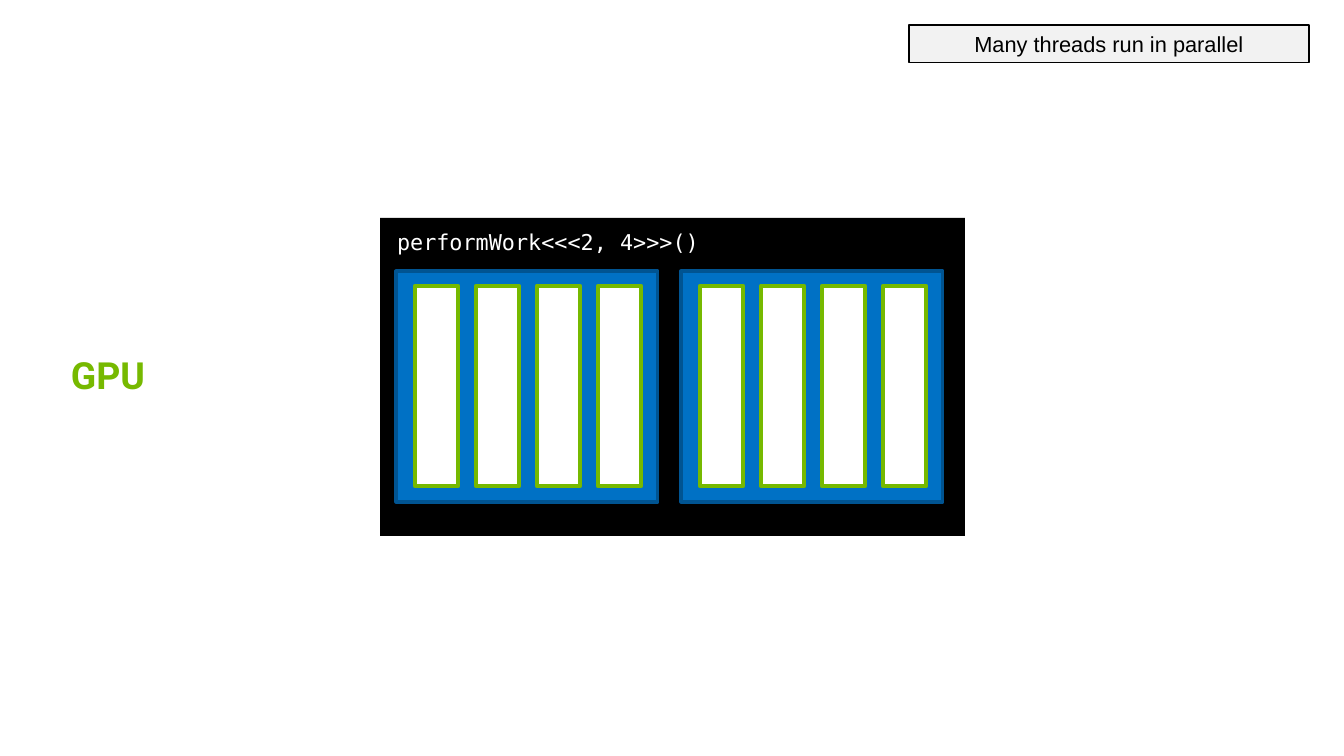
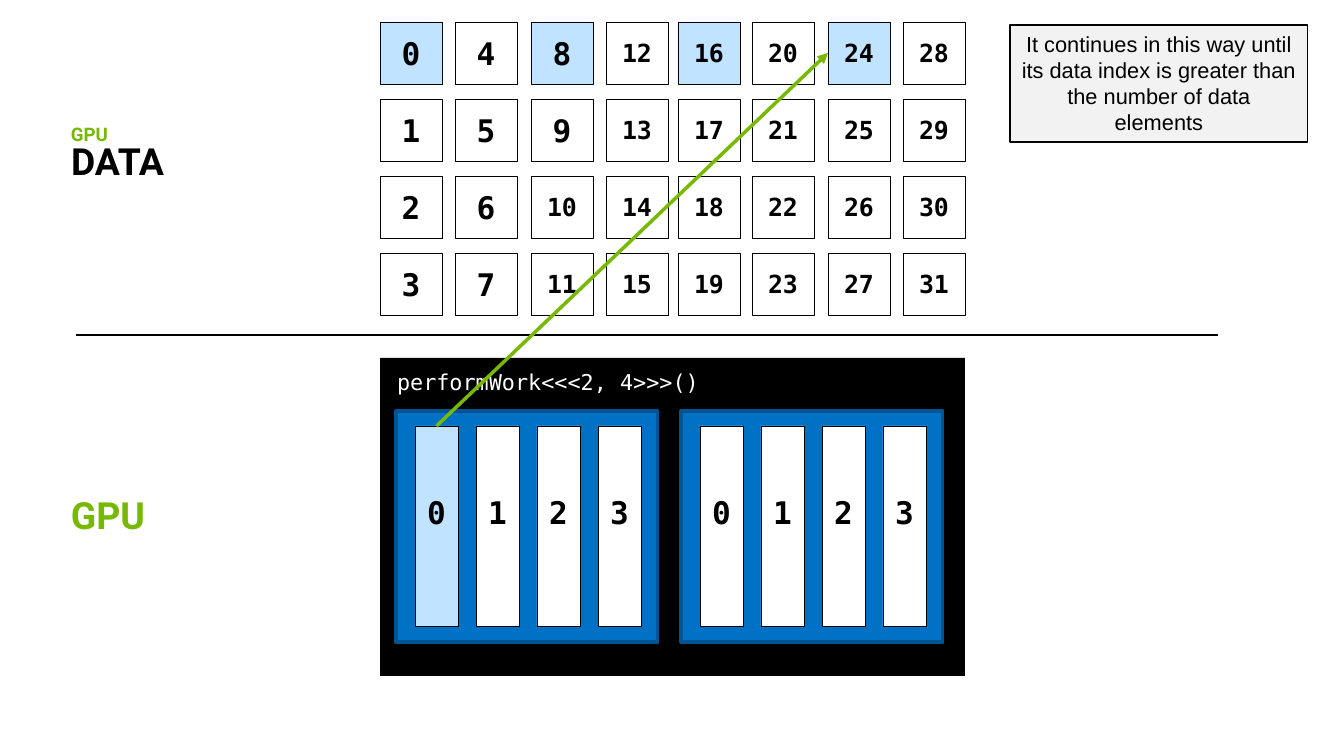
from pptx import Presentation, util as u
from pptx.dml.color import RGBColor
from pptx.enum import shapes, text
from pptx.oxml.ns import qn
from lxml import etree

# Content
KERNEL = "performWork<<<2, 4>>>()"
BLOCKS, THREADS = 2, 4
DATA_COUNT, DATA_ROWS = 32, 4
VISITED = {0, 8, 16, 24}
PARALLEL_NOTE = "Many threads run in parallel"
STRIDE_NOTE = ("It continues in this way until its data index is greater than "
               "the number of data elements")

# Shared look
BLACK, WHITE, GREEN = "000000", "FFFFFF", "76B900"
BLUE, DARK_BLUE, LIGHT_BLUE, GREY = "0071C5", "005492", "C0E4FF", "F2F2F2"
MONO, SANS, TITLE = "DejaVu Sans Mono", "Arial", "Roboto"
LEFT, CENTER = text.PP_ALIGN.LEFT, text.PP_ALIGN.CENTER
TOP, MIDDLE, BOTTOM = (text.MSO_ANCHOR.TOP, text.MSO_ANCHOR.MIDDLE,
                       text.MSO_ANCHOR.BOTTOM)

# Layout in px
PANEL_X, PANEL_W, PANEL_H = 380, 585, 318
BLOCK_X, BLOCK_STEP, BLOCK_W, BLOCK_H = 396, 285, 262, 231
BAR_STEP, BAR_W, BAR_H = 61, 43, 200
COLUMN_X = [380, 455, 531, 606, 678, 752, 828, 903]
ROW_Y, ROW_STEP, CELL = 22, 77, 62
NUMBER_W = 58


def px(n):
    return u.Emu(round(n * 914400 / 112))


def color(value):
    return RGBColor.from_string(value)


def write(sp, words, size, font, ink, bold=False, align=LEFT, anchor=TOP):
    tf = sp.text_frame
    tf.text = words
    tf.word_wrap = True
    tf.vertical_anchor = anchor
    p = tf.paragraphs[0]
    p.alignment = align
    f = p.runs[0].font
    f.size, f.name, f.bold = u.Pt(size), font, bold
    f.color.rgb = color(ink)
    return p


def add_box(slide, x, y, w, h, fill, line=None, width=0.25):
    sp = slide.shapes.add_shape(shapes.MSO_SHAPE.RECTANGLE,
                                px(x), px(y), px(w), px(h))
    sp.shadow.inherit = False
    sp.fill.solid()
    sp.fill.fore_color.rgb = color(fill)
    if line:
        sp.line.color.rgb = color(line)
        sp.line.width = u.Pt(width)
    else:
        sp.line.fill.background()
    return sp


def add_line(slide, x1, y1, x2, y2, ink, width):
    c = slide.shapes.add_connector(shapes.MSO_CONNECTOR.STRAIGHT,
                                   px(x1), px(y1), px(x2), px(y2))
    c.line.color.rgb = color(ink)
    c.line.width = u.Pt(width)
    etree.SubElement(c._element.spPr, qn("a:effectLst"))
    return c


def add_title(slide, words, y, w, h=52, size=24, ink=GREEN):
    sp = slide.shapes.add_textbox(px(60), px(y), px(w), px(h))
    write(sp, words, size, TITLE, ink, True, anchor=BOTTOM).line_spacing = 0.9


def add_number(slide, number, cx, cy):
    """Write a bold number centred on a point."""
    size, h = (20, 49) if number < 10 else (16, 41)
    sp = slide.shapes.add_textbox(px(cx - NUMBER_W / 2), px(cy - h / 2),
                                  px(NUMBER_W), px(h))
    write(sp, str(number), size, MONO, BLACK, True, CENTER, MIDDLE)


def add_note(slide, words, x, w, h):
    sp = add_box(slide, x, 25, w, h, GREY, BLACK, 0.75)
    write(sp, words, 14, SANS, BLACK, align=CENTER)


def add_gpu(slide, y, line, width, numbered=False):
    """Draw the GPU panel and return its first thread."""
    add_box(slide, PANEL_X, y, PANEL_W, PANEL_H, BLACK)
    label = add_box(slide, 386, y + 10, 343, 28, BLACK)
    write(label, KERNEL, 14, MONO, WHITE, anchor=MIDDLE)
    bars = []
    for block in range(BLOCKS):
        block_x = BLOCK_X + block * BLOCK_STEP
        add_box(slide, block_x, y + 53, BLOCK_W, BLOCK_H, BLUE, DARK_BLUE, 2)
        for thread in range(THREADS):
            x = block_x + 19 + thread * BAR_STEP
            fill = LIGHT_BLUE if numbered and not bars else WHITE
            bars.append(add_box(slide, x, y + 68, BAR_W, BAR_H,
                                fill, line, width))
            if numbered:
                add_number(slide, thread, x + BAR_W / 2, y + 154)
    add_title(slide, "GPU", y + 133, 109)
    return bars[0]


def add_data(slide):
    """Draw the data elements column by column and return their cells."""
    cells = []
    for i in range(DATA_COUNT):
        col, row = divmod(i, DATA_ROWS)
        x, y = COLUMN_X[col], ROW_Y + row * ROW_STEP
        fill = LIGHT_BLUE if i in VISITED else WHITE
        cells.append(add_box(slide, x, y, CELL, CELL, fill, BLACK))
        add_number(slide, i, x + CELL / 2, y + CELL / 2)
    add_title(slide, "DATA", 137, 123, ink=BLACK)
    add_title(slide, "GPU", 120, 62, 31, 12)
    return cells


def main():
    prs = Presentation()
    prs.slide_width, prs.slide_height = px(1344), px(756)
    blank = prs.slide_layouts[6]

    # Slide 1: threads in parallel
    s = prs.slides.add_slide(blank)
    add_gpu(s, 218, GREEN, 3)
    add_note(s, PARALLEL_NOTE, 909, 400, 38)

    # Slide 2: one thread strides through the data
    s = prs.slides.add_slide(blank)
    first_thread = add_gpu(s, 358, BLACK, 0.25, numbered=True)
    cells = add_data(s)
    add_line(s, 76, 335, 1218, 335, BLACK, 1.5)
    add_note(s, STRIDE_NOTE, 1010, 298, 117)
    arrow = add_line(s, 436, 426, 828, 53, GREEN, 2.25)
    arrow.begin_connect(first_thread, 0)
    arrow.end_connect(cells[max(VISITED)], 1)
    etree.SubElement(arrow.line._get_or_add_ln(), qn("a:tailEnd"),
                     type="triangle")

    prs.save("out.pptx")


if __name__ == "__main__":
    main()
